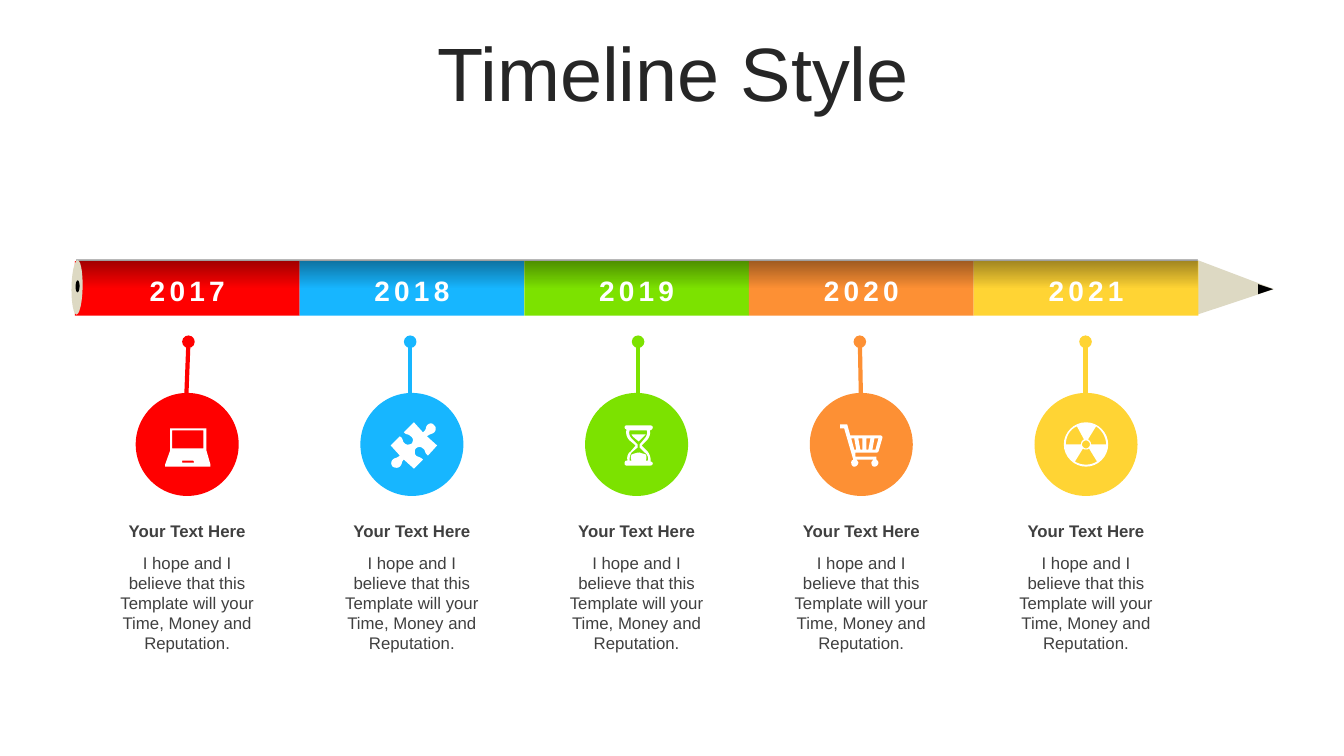
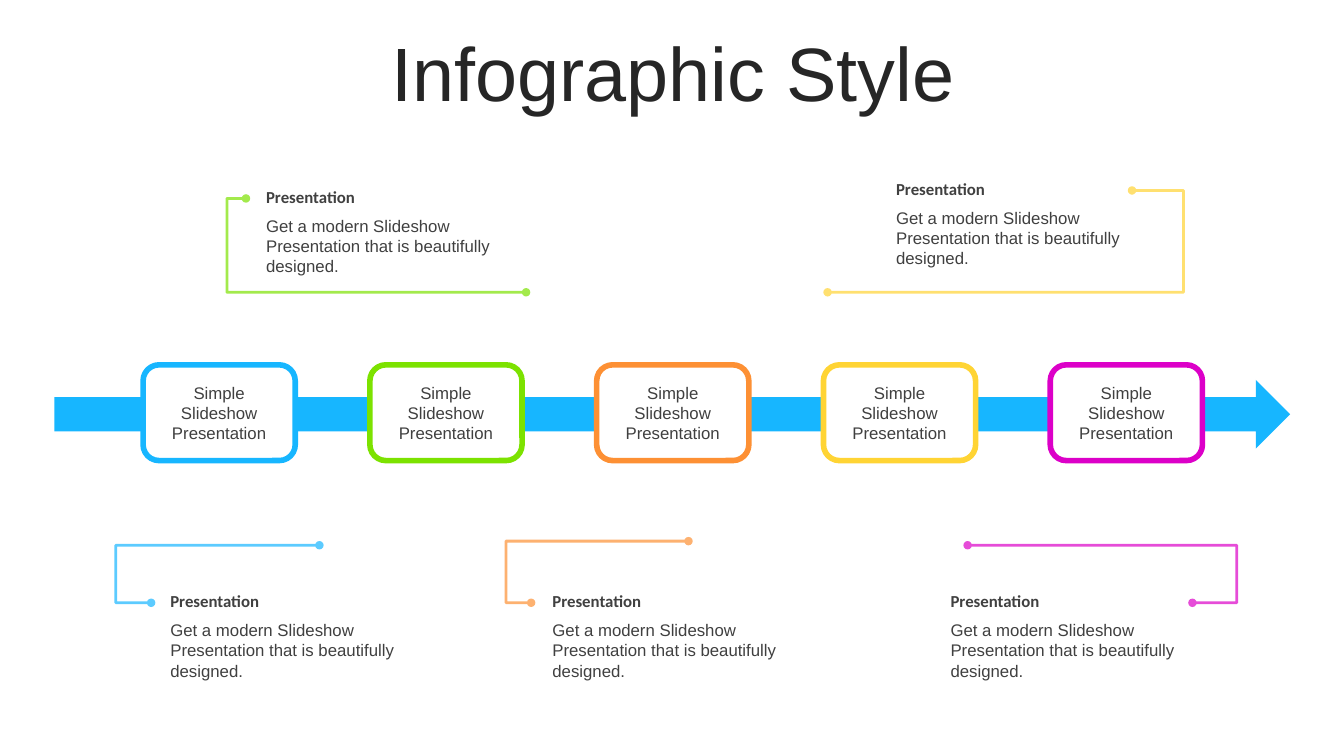
"""Build a pencil timeline slide and an arrow infographic slide."""
from lxml.etree import SubElement
from pptx import Presentation
from pptx.dml.color import RGBColor
from pptx.enum.shapes import MSO_CONNECTOR, MSO_SHAPE
from pptx.enum.text import MSO_ANCHOR, PP_ALIGN
from pptx.oxml.ns import qn
from pptx.util import Pt

HUES = {
    "red": "FF0000", "blue": "17B6FF", "green": "7CE200", "orange": "FD9034",
    "yellow": "FFD434", "pink": "DC00C8", "wood": "DDD9C3", "black": "000000",
    "white": "FFFFFF", "title": "262626", "text": "404040",
}
BASE = {"name": "Arial", "size": Pt(12), "bold": False}
BOLD = {**BASE, "bold": True}
HEAD = {**BOLD, "name": "Calibri"}
YEAR = {**BOLD, "size": Pt(20)}
TITLE = {**BASE, "size": Pt(54)}
LEFT, MID = PP_ALIGN.LEFT, PP_ALIGN.CENTER


def paint(shape, hue, edge=None):
    shape.shadow.inherit = False
    shape.fill.solid()
    shape.fill.fore_color.rgb = RGBColor.from_string(HUES[hue])
    if edge:
        shape.line.color.rgb = RGBColor.from_string(HUES[edge])
        shape.line.width = Pt(4)
    else:
        shape.line.fill.background()
    return shape


def write(shape, text, style, hue="text", align=MID, anchor=MSO_ANCHOR.TOP, side=7.2):
    frame = shape.text_frame
    look = {"word_wrap": True, "vertical_anchor": anchor,
            "margin_left": Pt(side), "margin_right": Pt(side)}
    for key, value in look.items():
        setattr(frame, key, value)
    para = frame.paragraphs[0]
    para.alignment = align
    run = para.add_run()
    run.text = text
    for key, value in style.items():
        setattr(run.font, key, value)
    run.font.color.rgb = RGBColor.from_string(HUES[hue])
    return shape


deck = Presentation()
deck.slide_width, deck.slide_height = Pt(960), Pt(540)
slides = []
for name in ("Timeline Style", "Infographic Style"):
    slide = deck.slides.add_slide(deck.slide_layouts[6])
    box = slide.shapes.add_textbox(Pt(25), Pt(26.5), Pt(911.5), Pt(57))
    write(box, name, TITLE, "title", anchor=MSO_ANCHOR.MIDDLE)
    box.text_frame.paragraphs[0].line_spacing = 0.9
    slides.append(slide)
time, info = [slide.shapes for slide in slides]

LAPTOP = """M -5 16 L -5 18 7 18 6 16 Z M -15 -14 L -15 4 16 4 16 -14 Z
M -17 -16 L 19 -16 19 6 23 20 23 22 -22 22 -22 20 -17 6"""
PUZZLE = """M 22 -19 C 24 -18 24 -15 23 -13 21 -10 18 -11 15 -8 L 25 1 16 11
C 12 8 14 6 11 4 9 2 6 2 4 4 3 5 2 8 4 11 7 13 8 12 11 15 L 2 24 -8 15
C -11 18 -9 19 -12 22 -14 24 -18 23 -19 22 -21 20 -21 17 -19 15
-17 13 -15 14 -12 11 L -21 1 -12 -8 C -8 -6 -10 -3 -7 -1 -5 1 -2 0 0 -1
1 -3 2 -6 -1 -8 -4 -11 -5 -9 -8 -12 L 2 -22 11 -12
C 15 -15 13 -16 15 -19 18 -22 21 -21 22 -19"""
GLASS = """M 3 8 C 5 9 7 9 9 10 10 12 10 14 9 16 L -5 16
C -6 14 -6 12 -5 10 -2 9 0 8 3 8 Z
M -5 -10 L 9 -10 C 8 -9 8 -9 7 -8 L 2 -3 -4 -8 C -4 -9 -5 -9 -5 -10 Z
M -7 -14 C -8 -11 -7 -8 -5 -6 L 1 0 1 3 -5 8 C -7 11 -7 14 -7 16 L 11 16
C 12 14 11 10 8 8 L 3 3 3 0 8 -6 C 10 -8 11 -12 10 -14 Z
M -10 -19 L 13 -19 C 15 -19 16 -18 16 -17 16 -16 15 -14 13 -14
14 -11 13 -7 10 -4 L 5 1 10 6 C 13 9 14 13 14 17 15 17 16 18 16 19
16 20 15 21 13 21 L -10 21 C -11 21 -12 20 -12 19 -12 17 -11 16 -10 16
L -9 16 C -10 13 -9 9 -6 7 L -1 1 -7 -4 C -10 -7 -11 -11 -10 -15
-11 -15 -12 -16 -12 -17 -12 -18 -11 -19 -10 -19"""
CART = """M 13 -6 L 11 5 14 5 17 -6 Z M 5 -6 L 5 5 7 5 9 -6 Z
M -3 -6 L -1 5 1 5 1 -6 Z M -10 -6 L -7 5 -5 5 -7 -6 Z
M -14 -20 L -11 -9 19 -9 C 20 -9 21 -8 21 -7 L 17 7 C 16 8 16 8 15 8
L -6 8 -6 12 15 12 15 15 C 16 16 17 17 17 18 17 20 15 22 13 22
11 22 10 20 10 18 10 17 11 16 12 15 L -5 15 C -4 16 -3 17 -3 18
-3 20 -5 22 -7 22 -9 22 -10 20 -10 18 -10 17 -10 16 -8 15
L -17 -16 -21 -16 -21 -20"""
ATOM = """M -3 4 L -11 17 C -4 21 4 21 11 17 L 3 4 C 2 5 1 5 0 5 -1 5 -2 5 -3 4 Z
M 0 -4 C -2 -4 -4 -2 -4 0 -4 2 -2 4 0 4 2 4 4 2 4 0 4 -2 2 -4 0 -4 Z
M 10 -18 L 2 -5 C 4 -4 5 -2 5 0 L 20 0 C 20 -7 16 -14 10 -18 Z
M -9 -18 C -16 -15 -20 -8 -20 0 L -5 0 C -5 -2 -4 -4 -2 -5 Z
M 0 -22 C 12 -22 22 -12 22 0 22 12 12 22 0 22 -12 22 -22 12 -22 0
-22 -12 -12 -22 0 -22"""
STEPS = [
    ("2017", "red", LAPTOP, 134.6, 133.2), ("2018", "blue", PUZZLE, 293, 293),
    ("2019", "green", GLASS, 455.8, 455.8), ("2020", "orange", CART, 614.2, 614.9),
    ("2021", "yellow", ATOM, 775.4, 775.4),
]
STEP, START, HUB = 160.5, 53.5, 317.5
wires = []

tip = time.add_shape(MSO_SHAPE.ISOSCELES_TRIANGLE, Pt(863.3), Pt(178.6), Pt(38.9), Pt(54.7))
paint(tip, "wood").rotation = 91.2
lead = time.build_freeform(Pt(898.6), Pt(210.2))
lead.add_line_segments([(Pt(898.6), Pt(203)), (Pt(909.4), Pt(206.6))])
paint(lead.convert_to_shape(), "black")
for num, (year, hue, art, top, end) in enumerate(STEPS):
    left = START + num * STEP
    paint(time.add_shape(MSO_SHAPE.RECTANGLE, Pt(left), Pt(186.5), Pt(STEP), Pt(39)), hue)

shade = time.add_shape(MSO_SHAPE.RECTANGLE, Pt(54.7), Pt(185.8), Pt(800.6), Pt(38.9))
paint(shade, "black")
shade.fill.gradient()
shade.fill.gradient_angle = 90
for stop, place in zip(shade.fill.gradient_stops, (0.48, 1)):
    stop.position = place
    stop.color.rgb = RGBColor.from_string(HUES["black"])
for tone, alpha in zip(shade.element.iter(qn("a:srgbClr")), (0, 39000)):
    SubElement(tone, qn("a:alpha")).set("val", str(alpha))
for hue, *box in (("wood", 51.1, 185.8, 7.9, 38.9), ("black", 54, 200.2, 2.9, 8.6)):
    paint(time.add_shape(MSO_SHAPE.OVAL, *map(Pt, box)), hue).rotation = 1.2

for num, (year, hue, art, top, end) in enumerate(STEPS):
    hub = START + (num + 0.5) * STEP
    paint(time.add_shape(MSO_SHAPE.OVAL, Pt(hub - 36.8), Pt(HUB - 36.8), Pt(73.6), Pt(73.6)), hue)
    wires.append((time, hue, (top, 244.1), (end, 280.8), None))
    pen = None
    for loop in art.split("Z"):
        spots, nums, mode = [], [], "M"
        for word in loop.split():
            if word in ("M", "L", "C"):
                mode = word
                continue
            nums.append(float(word))
            if len(nums) < (6 if mode == "C" else 2):
                continue
            if mode == "C":
                ends = [spots[-1], nums[:2], nums[2:4], nums[4:]]
                for part in range(1, 9):
                    t = part / 8
                    mix = ((1 - t) ** 3, 3 * t * (1 - t) ** 2, 3 * t * t * (1 - t), t ** 3)
                    spots.append([sum(m * p[axis] for m, p in zip(mix, ends)) for axis in (0, 1)])
            else:
                spots.append(nums)
            nums = []
        dots = [(Pt(hub + 0.72 * x), Pt(HUB + 0.72 * y)) for x, y in spots]
        if pen:
            pen.move_to(*dots[0])
        else:
            pen = time.build_freeform(*dots[0])
        pen.add_line_segments(dots[1:])
    paint(pen.convert_to_shape(), "white")
    for text, style, tint, top, wide, high in (
        ("Your Text Here", BOLD, "text", 368.6, 111, 21.6),
        ("I hope and I believe that this Template will your Time, Money and Reputation.",
         BASE, "text", 391, 111, 80),
        (year, YEAR, "white", 191.5, 85.6, 31.7),
    ):
        box = time.add_textbox(Pt(hub - wide / 2), Pt(top), Pt(wide), Pt(high))
        write(box, text, style, tint)
        if text == year:
            for node in box.element.iter(qn("a:rPr")):
                node.set("spc", "300")

arrow = info.add_shape(MSO_SHAPE.RIGHT_ARROW, Pt(38.9), Pt(271.4), Pt(882.7), Pt(49))
paint(arrow, "blue")
for num, hue in enumerate(("blue", "green", "orange", "yellow", "pink")):
    card = info.add_shape(MSO_SHAPE.ROUNDED_RECTANGLE,
                          Pt(102.2 + 162 * num), Pt(260.6), Pt(108.7), Pt(68.4))
    paint(card, "white", hue)
    write(card, "Simple Slideshow Presentation", BASE, anchor=MSO_ANCHOR.MIDDLE)

for hue, left, top, start, end, bend in (
    ("blue", 121.7, 418.3, (108, 430.6), (228.2, 389.5), 82.8),
    ("orange", 394.6, 418.3, (379.4, 430.6), (491.8, 386.6), 361.4),
    ("pink", 679, 418.3, (851.8, 430.6), (691.2, 389.5), 883.4),
    ("green", 190.1, 129.6, (175.7, 141.8), (375.8, 208.8), 162),
    ("yellow", 640.1, 123.8, (591.1, 208.8), (808.6, 136.1), 845.3),
):
    for text, style, drop, high in (
        ("Presentation", HEAD, 0, 21.6),
        ("Get a modern Slideshow Presentation that is beautifully designed.", BASE, 21, 51),
    ):
        box = info.add_textbox(Pt(left), Pt(top + drop), Pt(161.3), Pt(high))
        write(box, text, style, align=LEFT, side=0)
    wires.append((info, hue, start, end, bend))

for shapes, hue, start, end, bend in wires:
    kind = MSO_CONNECTOR.ELBOW if bend else MSO_CONNECTOR.STRAIGHT
    wire = shapes.add_connector(kind, *map(Pt, start + end))
    wire.line.color.rgb = RGBColor.from_string(HUES[hue])
    wire.line.width = Pt(2 if bend else 3)
    node = wire.element.spPr
    tags = ["a:headEnd"]
    if bend:
        tags.append("a:tailEnd")
        ratio = (bend - start[0]) / (end[0] - start[0])
        guide = SubElement(node.find(".//" + qn("a:avLst")), qn("a:gd"))
        guide.set("name", "adj1")
        guide.set("fmla", f"val {round(ratio * 100000)}")
        SubElement(node.find(".//" + qn("a:srgbClr")), qn("a:alpha")).set("val", "70000")
    for tag in tags:
        SubElement(node.find(qn("a:ln")), qn(tag)).set("type", "oval")
    SubElement(node, qn("a:effectLst"))

deck.save("out.pptx")
